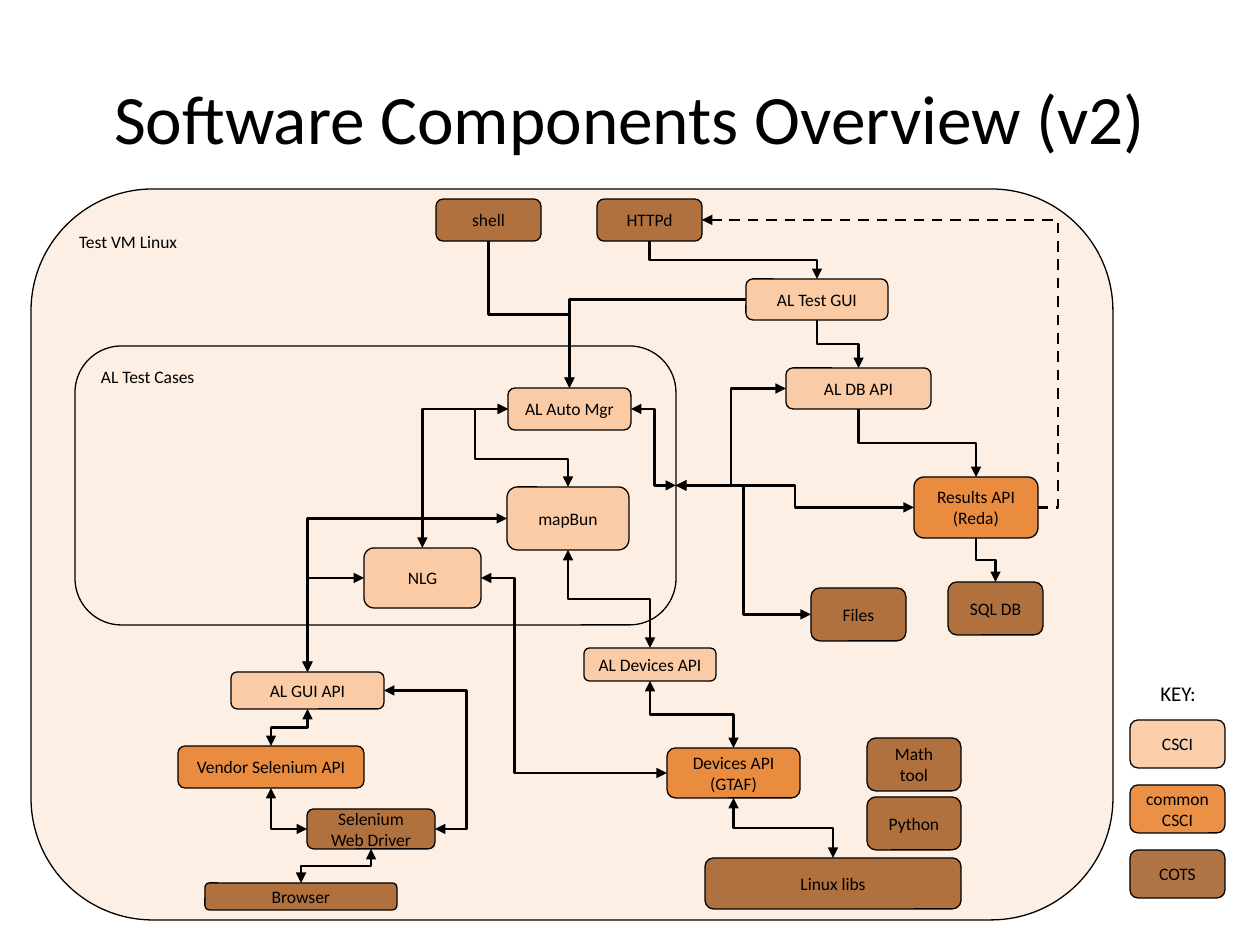
import pptx
import pptx.util
from pptx.dml.color import RGBColor
from pptx.enum.dml import MSO_LINE
from pptx.enum.shapes import MSO_CONNECTOR, MSO_SHAPE
from pptx.enum.text import MSO_ANCHOR, PP_ALIGN
from pptx.oxml.ns import qn
from lxml import etree

PIXEL = 914400 // 126
FONT = "Calibri"
COLORS = {"ink": "000000", "machine": "FDEADA", "csci": "FAC090",
          "common": "E46C0A", "cots": "984807"}

TITLE = ("Software Components Overview (v2)", (63, 38, 1134, 157))
KEY_TITLE = ("KEY:", (1148, 674, 62, 38))

# text, fill, (left, top, width, height)
CONTAINERS = [
    ("Test VM Linux", "machine", (31, 189, 1082, 731)),
    ("AL Test Cases", None, (75, 346, 601, 279)),
]
# name: (text, fill, (left, top, width, height))
COMPONENTS = {
    "shell": ("shell", "cots", (436, 199, 105, 42)),
    "web": ("HTTPd", "cots", (597, 199, 105, 42)),
    "test gui": ("AL Test GUI", "csci", (746, 279, 142, 41)),
    "db": ("AL DB API", "csci", (786, 368, 145, 41)),
    "manager": ("AL Auto Mgr", "csci", (508, 388, 123, 42)),
    "mapbun": ("mapBun", "csci", (507, 487, 122, 63)),
    "nlg": ("NLG", "csci", (364, 548, 117, 60)),
    "results": ("Results API\n(Reda)", "common", (914, 477, 124, 61)),
    "files": ("Files", "cots", (811, 588, 95, 53)),
    "sql": ("SQL DB", "cots", (948, 582, 95, 53)),
    "al devices": ("AL Devices API", "csci", (584, 648, 132, 33)),
    "gui api": ("AL GUI API", "csci", (231, 672, 153, 37)),
    "selenium api": ("Vendor Selenium API", "common", (178, 746, 186, 42)),
    "driver": ("Selenium Web Driver", "cots", (307, 809, 128, 40)),
    "browser": ("Browser", "cots", (205, 883, 192, 27)),
    "devices": ("Devices API\n(GTAF)", "common", (667, 748, 133, 50)),
    "math": ("Math tool", "cots", (867, 738, 94, 53)),
    "python": ("Python", "cots", (867, 797, 94, 53)),
    "libs": ("Linux libs", "cots", (705, 858, 256, 51)),
}
KEY_ENTRIES = [("CSCI", "csci"), ("common\vCSCI", "common"), ("COTS", "cots")]
KEY_LEFT, KEY_TOP, KEY_STEP, KEY_SIZE = 1130, 720, 65, (95, 48)

# start, side, end, side, arrowheads, bend adjustments
LINKS = [
    ("web", "bottom", "test gui", "top", "end", [0.5]),
    ("test gui", "bottom", "db", "top", "end", [0.5]),
    ("db", "bottom", "results", "top", "end", [0.5]),
    ("results", "right", "web", "right", "dashed", [-0.06]),
    ("sql", "top", "results", "bottom", "start", [0.5]),
    ("manager", "top", "test gui", "left", "start", []),
    ("manager", "top", "shell", "bottom", "start", [0.5]),
    ("nlg", "top", "manager", "left", "both", []),
    ("mapbun", "top", "manager", "left", "both", [0.36, 1.55]),
    ("gui api", "top", "nlg", "left", "both", []),
    ("gui api", "top", "mapbun", "left", "both", []),
    ("gui api", "bottom", "selenium api", "top", "both", [0.5]),
    ("gui api", "right", "driver", "right", "both", [1.62]),
    ("selenium api", "bottom", "driver", "left", "both", []),
    ("browser", "top", "driver", "bottom", "both", [0.5]),
    ("al devices", "top", "mapbun", "bottom", "both", [0.5]),
    ("devices", "top", "al devices", "bottom", "both", [0.5]),
    ("libs", "top", "devices", "bottom", "both", [0.5]),
    ("devices", "left", "nlg", "right", "both", [0.82]),
    ("cases", "right", "manager", "right", "both", [0.48]),
    ("db", "left", "cases", "right", "both", [0.5]),
    ("files", "left", "cases", "right", "both", [0.5]),
    ("results", "left", "cases", "right", "both", [0.5]),
]
SIDES = {"left": (0, 0.5), "right": (1, 0.5), "top": (0.5, 0), "bottom": (0.5, 1)}
ENDS = {"start": ["headEnd"], "end": ["tailEnd"], "dashed": ["tailEnd"],
        "both": ["headEnd", "tailEnd"]}


def emu(lengths):
    """Turn pixel lengths into EMU."""
    return [round(length * PIXEL) for length in lengths]


def color(name):
    """Return a palette colour."""
    return RGBColor.from_string(COLORS[name])


def write(shape, text, size, alignment, anchor, wrap=True):
    """Put formatted text into a shape."""
    frame = shape.text_frame
    frame.text = text
    frame.word_wrap = wrap
    frame.vertical_anchor = anchor
    for paragraph in frame.paragraphs:
        paragraph.alignment = alignment
        paragraph.font.name = FONT
        paragraph.font.size = pptx.util.Pt(size)
        paragraph.font.color.rgb = color("ink")


def add_box(slide, text, fill, box, alignment=PP_ALIGN.CENTER, anchor=MSO_ANCHOR.MIDDLE):
    """Add a rounded box, translucent or unfilled."""
    shape = slide.shapes.add_shape(MSO_SHAPE.ROUNDED_RECTANGLE, *emu(box))
    shape.shadow.inherit = False
    shape.line.color.rgb = color("ink")
    shape.line.width = pptx.util.Pt(0.75)
    if fill:
        shape.fill.solid()
        shape.fill.fore_color.rgb = color(fill)
        tint = shape._element.spPr.find(qn("a:solidFill"))[0]
        etree.SubElement(tint, qn("a:alpha"), val="75000")
    else:
        shape.fill.background()
    write(shape, text, 10, alignment, anchor)


def add_label(slide, text, box, size, alignment, anchor, wrap=True):
    """Add a plain text box."""
    label = slide.shapes.add_textbox(*emu(box))
    write(label, text, size, alignment, anchor, wrap)


def site(box, side):
    """Return the middle of one side of a box."""
    left, top, width, height = box
    across, down = SIDES[side]
    return left + across * width, top + down * height


def add_link(slide, start, start_side, end, end_side, style, bends):
    """Add an elbow connector that leaves its start side at a right angle."""
    (x1, y1), (x2, y2) = site(start, start_side), site(end, end_side)
    vertical = start_side in ("top", "bottom")
    turn = 0
    if vertical:
        # The frame is laid out unrotated about the same centre.
        dx, dy = x2 - x1, y2 - y1
        middle_x, middle_y = (x1 + x2) / 2, (y1 + y2) / 2
        turn, sign = (270, -1) if dx * dy > 0 else (90, 1)
        x1, x2 = middle_x - sign * dy / 2, middle_x + sign * dy / 2
        y1, y2 = middle_y + sign * dx / 2, middle_y - sign * dx / 2
    connector = slide.shapes.add_connector(MSO_CONNECTOR.ELBOW, *emu((x1, y1, x2, y2)))
    connector.line.color.rgb = color("ink")
    connector.line.width = pptx.util.Pt(1.5)
    if style == "dashed":
        connector.line.dash_style = MSO_LINE.DASH
    properties = connector._element.spPr
    if turn:
        properties.find(qn("a:xfrm")).set("rot", str(turn * 60000))
    geometry = properties.find(qn("a:prstGeom"))
    geometry.set("prst", f"bentConnector{len(bends) + 2}")
    guides = geometry.find(qn("a:avLst"))
    if guides is None:
        guides = etree.SubElement(geometry, qn("a:avLst"))
    for number, bend in enumerate(bends, 1):
        etree.SubElement(guides, qn("a:gd"), name=f"adj{number}",
                         fmla=f"val {round(bend * 100000)}")
    line = properties.find(qn("a:ln"))
    for tag in ENDS[style]:
        etree.SubElement(line, qn(f"a:{tag}"), type="triangle")
    etree.SubElement(properties, qn("a:effectLst"))


presentation = pptx.Presentation()
presentation.slide_width, presentation.slide_height = emu((1260, 945))
slide = presentation.slides.add_slide(presentation.slide_layouts[6])

for text, fill, box in CONTAINERS:
    add_box(slide, text, fill, box, PP_ALIGN.LEFT, MSO_ANCHOR.TOP)
add_label(slide, *TITLE, 39.6, PP_ALIGN.CENTER, MSO_ANCHOR.MIDDLE)
for text, fill, box in COMPONENTS.values():
    add_box(slide, text, fill, box)
add_label(slide, *KEY_TITLE, 12, PP_ALIGN.LEFT, MSO_ANCHOR.TOP, wrap=False)
for row, (text, fill) in enumerate(KEY_ENTRIES):
    add_box(slide, text, fill, (KEY_LEFT, KEY_TOP + row * KEY_STEP, *KEY_SIZE))

boxes = {name: box for name, (text, fill, box) in COMPONENTS.items()}
boxes["cases"] = CONTAINERS[1][2]
for start, start_side, end, end_side, style, bends in LINKS:
    add_link(slide, boxes[start], start_side, boxes[end], end_side, style, bends)

presentation.save("out.pptx")
